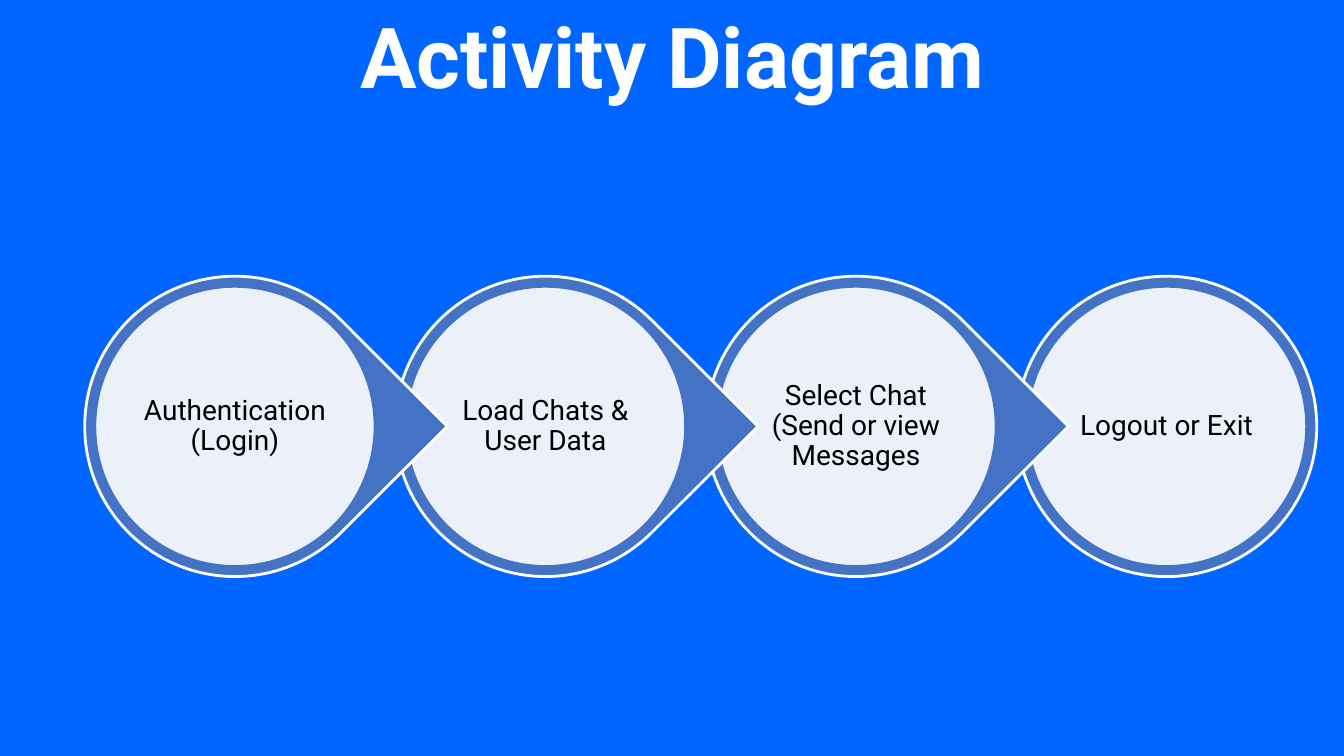
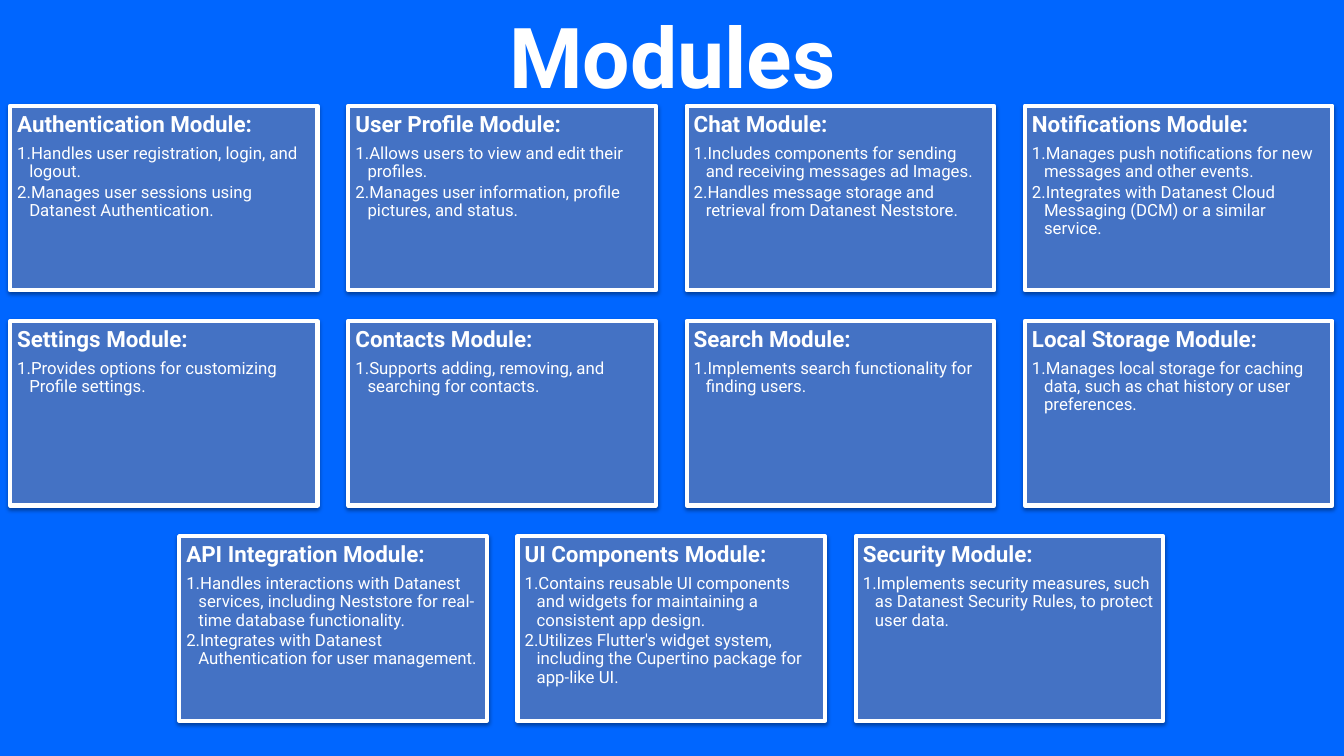
"""Build two slides of a chat app: its activity diagram and its modules."""
from lxml import etree
from pptx import Presentation
from pptx.dml.color import RGBColor
from pptx.enum.shapes import MSO_SHAPE as Preset
from pptx.enum.text import MSO_ANCHOR as Anchor, MSO_AUTO_SIZE as AutoSize, PP_ALIGN as Align
from pptx.oxml.ns import qn
from pptx.util import Inches, Pt

STEPS = [
    "Authentication (Login)",
    "Load Chats & User Data",
    "Select Chat (Send or view Messages",
    "Logout or Exit",
]
MODULE_ROWS = [
    [
        ("Authentication", ["Handles user registration, login, and logout.",
                            "Manages user sessions using Datanest Authentication."]),
        ("User Profile", ["Allows users to view and edit their profiles.",
                          "Manages user information, profile pictures, and status."]),
        ("Chat", ["Includes components for sending and receiving messages ad Images.",
                  "Handles message storage and retrieval from Datanest Neststore."]),
        ("Notifications", ["Manages push notifications for new messages and other events.",
                           "Integrates with Datanest Cloud Messaging (DCM) or a similar service."]),
    ],
    [
        ("Settings", ["Provides options for customizing Profile settings."]),
        ("Contacts", ["Supports adding, removing, and searching for contacts."]),
        ("Search", ["Implements search functionality for finding users."]),
        ("Local Storage", ["Manages local storage for caching data, such as chat history "
                           "or user preferences."]),
    ],
    [
        ("API Integration", ["Handles interactions with Datanest services, including Neststore "
                             "for real-time database functionality.",
                             "Integrates with Datanest Authentication for user management."]),
        ("UI Components", ["Contains reusable UI components and widgets for maintaining a "
                           "consistent app design.",
                           "Utilizes Flutter's widget system, including the Cupertino package "
                           "for app-like UI."]),
        ("Security", ["Implements security measures, such as Datanest Security Rules, "
                      "to protect user data."]),
    ],
]

FONT = "Roboto"
BACKGROUND, ACCENT, WHITE, BLACK = "0066FF", "4472C4", "FFFFFF", "000000"
STEP_LEFT, STEP_MIDDLE, STEP_PITCH = 2.33, 4.23, 3.08
OUTER_SIZE, INNER_SIZE = 2.98, 2.78
CARD_LEFT, CARD_TOP, CARD_WIDTH, CARD_HEIGHT = 0.1, 1.05, 3.05, 1.83
CARD_GAP = CARD_WIDTH / 10
CARD_INSET, ITEM_INDENT = 0.07, 0.12


def color(value):
    return RGBColor.from_string(value)


def add_shape(slide, preset, box, fill, line, line_width):
    shape = slide.shapes.add_shape(preset, *map(Inches, box))
    shape.shadow.inherit = False
    shape.fill.solid()
    shape.fill.fore_color.rgb = color(fill)
    shape.line.color.rgb = color(line)
    shape.line.width = Pt(line_width)
    return shape


def set_frame(shape, inset, anchor):
    frame = shape.text_frame
    frame.word_wrap = True
    frame.vertical_anchor = anchor
    frame.margin_left = frame.margin_right = Inches(inset)
    frame.margin_top = frame.margin_bottom = Inches(inset)
    return frame


def set_text(paragraph, text, size, ink, align, bold=False):
    paragraph.text = text
    paragraph.alignment = align
    font = paragraph.font
    font.name, font.size, font.bold = FONT, Pt(size), bold
    font.color.rgb = color(ink)


def set_spacing(paragraph, size, after_share):
    paragraph.line_spacing = 0.9
    paragraph.space_after = Pt(size * after_share)


def set_number(paragraph):
    paragraph.level = 1
    properties = paragraph._p.get_or_add_pPr()
    properties.set("marL", str(Inches(ITEM_INDENT)))
    properties.set("indent", str(-Inches(ITEM_INDENT)))
    number = etree.Element(qn("a:buAutoNum"), type="arabicPeriod")
    properties.find(qn("a:spcAft")).addnext(number)


def set_alpha(parent, percent):
    value = parent.find(".//" + qn("a:srgbClr"))
    etree.SubElement(value, qn("a:alpha"), val=str(percent * 1000))


def add_drop_shadow(shape):
    effects = shape._element.spPr.find(qn("a:effectLst"))
    shadow = etree.SubElement(effects, qn("a:outerShdw"), blurRad=str(Pt(3.1)),
                              dist=str(Pt(1.6)), dir="5400000", rotWithShape="0")
    etree.SubElement(shadow, qn("a:srgbClr"), val=BLACK)
    set_alpha(shadow, 38)


def add_slide(presentation, title):
    slide = presentation.slides.add_slide(presentation.slide_layouts[6])
    box = slide.shapes.add_textbox(Inches(0.75), 0, Inches(11.84), Inches(1.11))
    box.text_frame.word_wrap = True
    box.text_frame.auto_size = AutoSize.SHAPE_TO_FIT_TEXT
    set_text(box.text_frame.paragraphs[0], title, 60, WHITE, Align.CENTER, True)
    return slide


def add_step(slide, index, text):
    def centred(size):
        center = STEP_LEFT + index * STEP_PITCH
        return center - size / 2, STEP_MIDDLE - size / 2, size, size

    is_last = index == len(STEPS) - 1
    outer = add_shape(slide, Preset.OVAL if is_last else Preset.TEAR,
                      centred(OUTER_SIZE), ACCENT, WHITE, 2)
    outer.rotation = 0 if is_last else 45
    inner = add_shape(slide, Preset.OVAL, centred(INNER_SIZE), WHITE, ACCENT, 2)
    set_alpha(inner._element.spPr.find(qn("a:solidFill")), 90)
    paragraph = set_frame(inner, 0.03, Anchor.MIDDLE).paragraphs[0]
    set_text(paragraph, text, 20, BLACK, Align.CENTER)
    set_spacing(paragraph, 20, 0.35)


def add_card(slide, left, top, name, items):
    card = add_shape(slide, Preset.RECTANGLE, (left, top, CARD_WIDTH, CARD_HEIGHT),
                     ACCENT, WHITE, 3)
    add_drop_shadow(card)
    frame = set_frame(card, CARD_INSET, Anchor.TOP)
    heading = frame.paragraphs[0]
    set_text(heading, f"{name} Module:", 16, WHITE, Align.LEFT, True)
    set_spacing(heading, 16, 0.35)
    for item in items:
        paragraph = frame.add_paragraph()
        set_text(paragraph, item, 12, WHITE, Align.LEFT)
        set_spacing(paragraph, 12, 0.15)
        set_number(paragraph)


def main():
    presentation = Presentation()
    presentation.slide_width, presentation.slide_height = Inches(13.33), Inches(7.5)
    background = presentation.slide_master.background.fill
    background.solid()
    background.fore_color.rgb = color(BACKGROUND)

    activity = add_slide(presentation, "Activity Diagram")
    for index, text in reversed(list(enumerate(STEPS))):
        add_step(activity, index, text)

    modules = add_slide(presentation, "Modules")
    column_pitch, row_pitch = CARD_WIDTH + CARD_GAP, CARD_HEIGHT + CARD_GAP
    most_columns = max(map(len, MODULE_ROWS))
    for row, cards in enumerate(MODULE_ROWS):
        row_left = CARD_LEFT + (most_columns - len(cards)) * column_pitch / 2
        for column, (name, items) in enumerate(cards):
            add_card(modules, row_left + column * column_pitch,
                     CARD_TOP + row * row_pitch, name, items)

    presentation.save("out.pptx")


if __name__ == "__main__":
    main()
